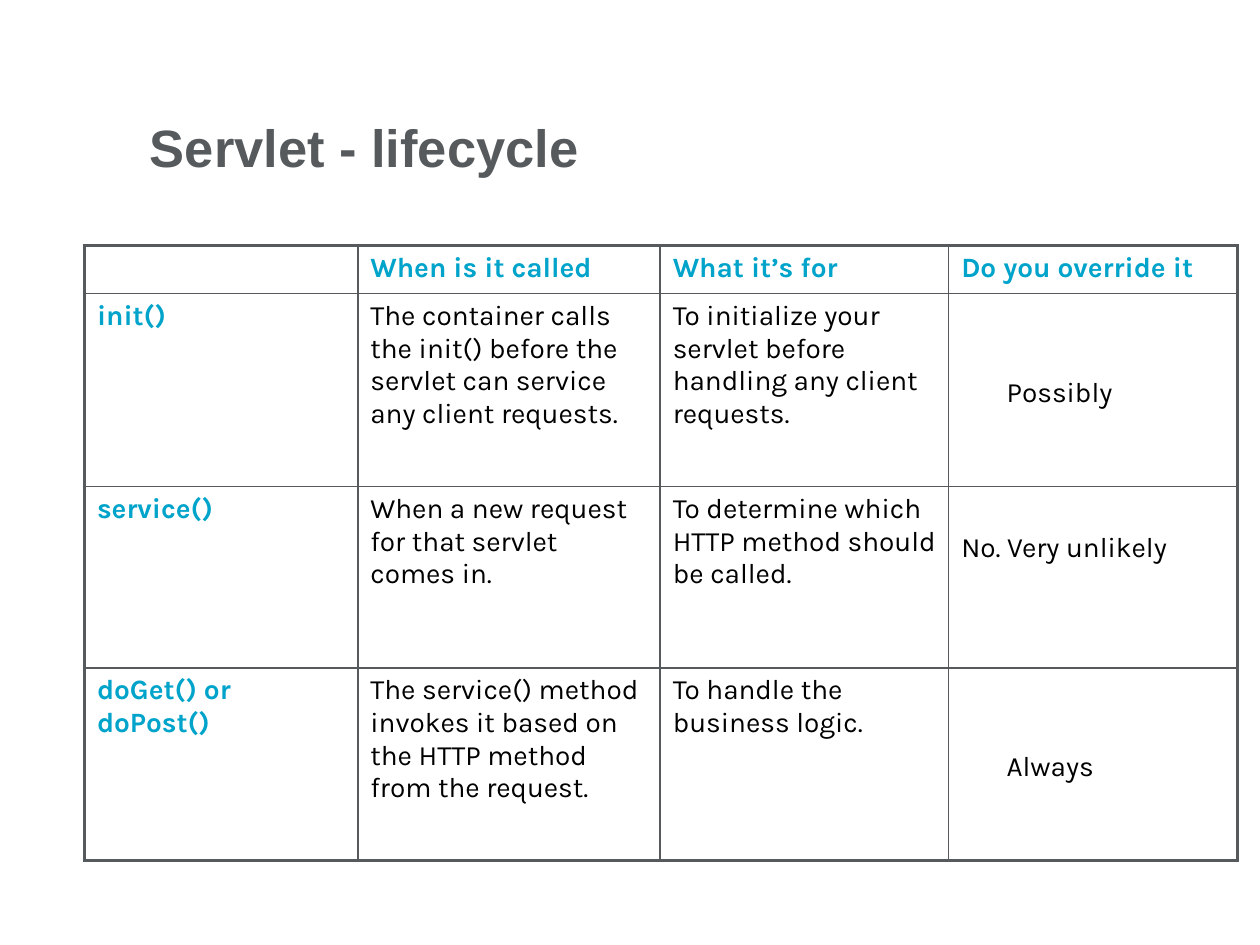
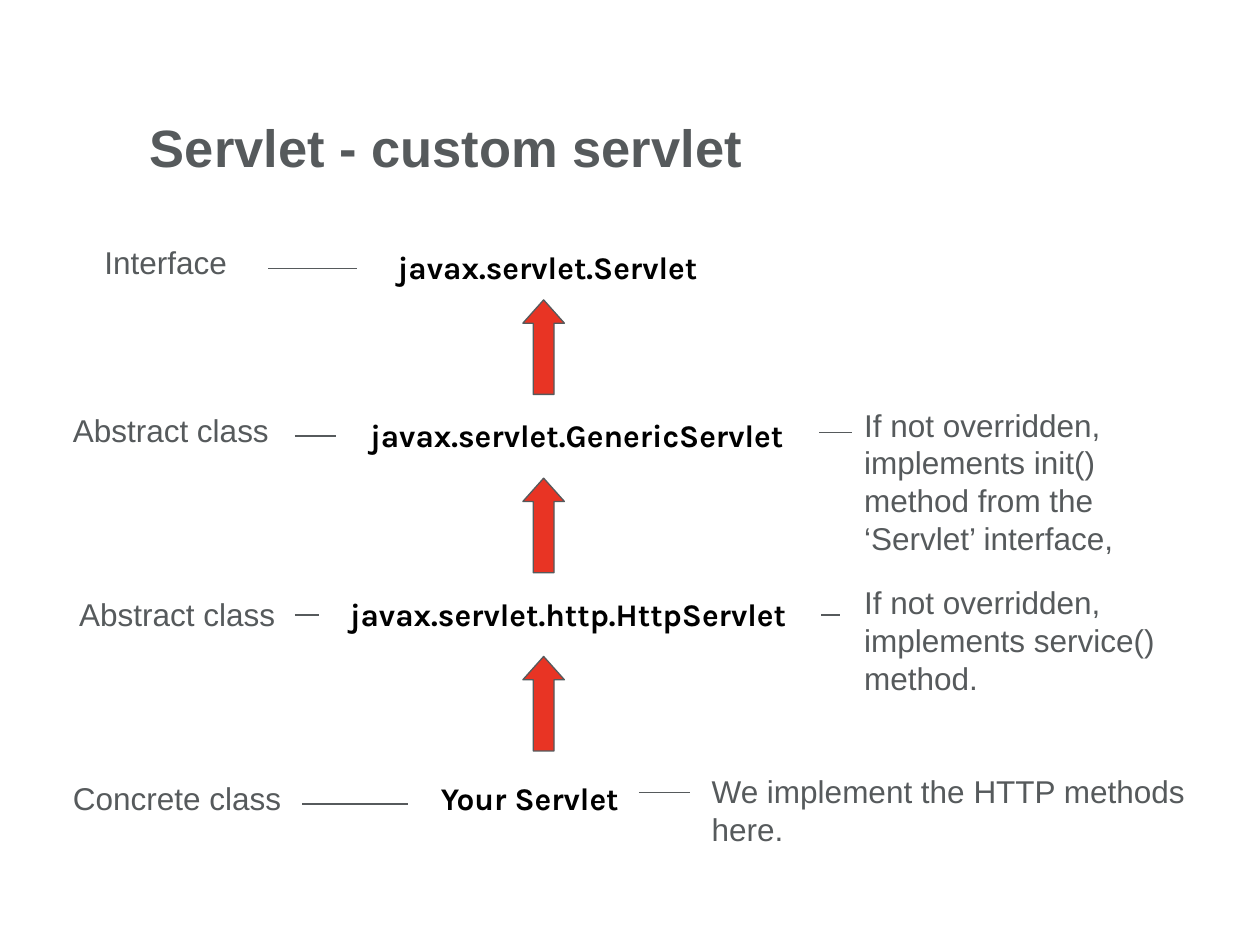
from dataclasses import dataclass

from lxml.etree import SubElement
from pptx import Presentation
from pptx.dml.color import RGBColor
from pptx.enum.shapes import MSO_CONNECTOR, MSO_SHAPE
from pptx.enum.text import MSO_ANCHOR, MSO_AUTO_SIZE, PP_ALIGN
from pptx.oxml import parse_xml
from pptx.oxml.ns import nsdecls, qn
from pptx.util import Inches, Pt


@dataclass(frozen=True)
class Theme:
    gray: str = "565A5C"
    teal: str = "00A3CA"
    black: str = "000000"
    red: str = "E83424"
    white: str = "FFFFFF"
    label_font: str = "Arial"
    content_font: str = "Karla"
    title_size: int = 30
    label_size: int = 18
    table_size: int = 16
    thin: float = 0.75
    inner_border: float = 1
    outer_border: float = 2.25


THEME = Theme()

LIFECYCLE = [
    ["", "When is it called", "What it’s for", "Do you override it"],
    ["init()",
     "The container calls the init() before the servlet can service any client requests.",
     "To initialize your servlet before handling any client requests.",
     "Possibly"],
    ["service()",
     "When a new request for that servlet comes in.",
     "To determine which HTTP method should be called.",
     "No. Very unlikely"],
    ["doGet() or doPost()",
     "The service() method invokes it based on the HTTP method from the request.",
     "To handle the business logic.",
     "Always"],
]
COLUMN_WIDTHS = [2.17, 2.4, 2.29, 2.29]
ROW_HEIGHTS = [0.36, 1.53, 1.44, 1.53]
ANSWER_MARGINS = {1: (0.46, 0.66), 2: (0.1, 0.36), 3: (0.46, 0.66)}

CLASS_NAMES = [
    ("javax.servlet.Servlet", 3.06, 1.92, 3.24),
    ("javax.servlet.GenericServlet", 2.84, 3.25, 3.62),
    ("javax.servlet.http.HttpServlet", 2.68, 4.67, 3.77),
    ("Your Servlet", 3.4, 6.13, 1.67),
]
CLASS_KINDS = [
    ("Interface", 0.73, 1.88, 1.17),
    ("Abstract class", 0.48, 3.21, 1.76),
    ("Abstract class", 0.53, 4.67, 1.76),
    ("Concrete class", 0.48, 6.13, 1.85),
]
NOTES = [
    (["If not overridden, implements init()", "method from the ‘Servlet’ interface,"],
     6.76, 3.17, 2.86, 1.31),
    (["If not overridden, implements service()", "method."], 6.76, 4.58, 3.13, 1.01),
    (["We implement the HTTP methods", "here."], 5.55, 6.08, 4.03, 0.7),
]
LINKS = [
    (2.13, 2.83, 2.13), (2.34, 2.67, 3.46), (2.34, 2.53, 4.88), (2.4, 3.24, 6.38),
    (6.5, 6.76, 3.43), (6.52, 6.67, 4.88), (5.07, 5.48, 6.29),
]
FIRST_ARROW_TOP = 2.38
ARROW_STEP = 1.415


def color(value):
    return RGBColor.from_string(value)


def write_text(frame, text, *, size=THEME.label_size, font=THEME.label_font,
               fill=THEME.gray, bold=False):
    lines = [text] if isinstance(text, str) else text
    for index, line in enumerate(lines):
        paragraph = frame.add_paragraph() if index else frame.paragraphs[0]
        paragraph.alignment = PP_ALIGN.LEFT
        run = paragraph.add_run()
        run.text = line
        run.font.size = Pt(size)
        run.font.name = font
        run.font.bold = bold
        run.font.color.rgb = color(fill)


def add_titled_slide(presentation, title, width):
    slide = presentation.slides.add_slide(presentation.slide_layouts[5])
    shape = slide.shapes.title
    shape.left, shape.top = Inches(1.15), Inches(0.84)
    shape.width, shape.height = Inches(width), Inches(0.65)
    shape.fill.solid()
    shape.fill.fore_color.rgb = color(THEME.white)
    frame = shape.text_frame
    frame.auto_size = MSO_AUTO_SIZE.NONE
    frame.word_wrap = True
    frame.vertical_anchor = MSO_ANCHOR.MIDDLE
    frame.margin_left = Inches(0.04)
    frame.margin_top = frame.margin_right = frame.margin_bottom = 0
    write_text(frame, title, size=THEME.title_size, bold=True)
    return slide


def add_text(slide, text, left, top, width, height=0.4, *, wrap=False, **text_format):
    box = slide.shapes.add_textbox(Inches(left), Inches(top), Inches(width), Inches(height))
    box.text_frame.word_wrap = wrap
    write_text(box.text_frame, text, **text_format)


def add_link(slide, start, end, height):
    connector = slide.shapes.add_connector(
        MSO_CONNECTOR.STRAIGHT, Inches(start), Inches(height), Inches(end), Inches(height))
    connector.line.color.rgb = color(THEME.gray)
    connector.line.width = Pt(THEME.thin)
    SubElement(connector._element.spPr, qn("a:effectLst"))


def add_up_arrow(slide, top):
    arrow = slide.shapes.add_shape(
        MSO_SHAPE.UP_ARROW, Inches(4.15), Inches(top), Inches(0.33), Inches(0.75))
    arrow.adjustments[0] = 0.5
    arrow.adjustments[1] = 0.562
    arrow.shadow.inherit = False
    arrow.fill.solid()
    arrow.fill.fore_color.rgb = color(THEME.red)
    arrow.line.color.rgb = color(THEME.gray)
    arrow.line.width = Pt(THEME.thin)


def set_borders(cell, outer_sides):
    properties = cell._tc.get_or_add_tcPr()
    for index, (side, is_outer) in enumerate(zip("LRTB", outer_sides)):
        width = Pt(THEME.outer_border if is_outer else THEME.inner_border)
        properties.insert(index, parse_xml(
            f'<a:ln{side} {nsdecls("a")} w="{width}"><a:solidFill>'
            f'<a:srgbClr val="{THEME.gray}"/></a:solidFill></a:ln{side}>'))


def add_lifecycle_table(slide):
    rows, columns = len(ROW_HEIGHTS), len(COLUMN_WIDTHS)
    table = slide.shapes.add_table(
        rows, columns, Inches(0.67), Inches(1.95),
        Inches(sum(COLUMN_WIDTHS)), Inches(sum(ROW_HEIGHTS))).table
    table.first_row = table.horz_banding = False
    for column, width in zip(table.columns, COLUMN_WIDTHS):
        column.width = Inches(width)
    for row, height in zip(table.rows, ROW_HEIGHTS):
        row.height = Inches(height)
    for row_index, texts in enumerate(LIFECYCLE):
        for column_index, text in enumerate(texts):
            cell = table.cell(row_index, column_index)
            is_heading = row_index == 0 or column_index == 0
            cell.fill.background()
            set_borders(cell, (column_index == 0, column_index == columns - 1,
                               row_index == 0, row_index == rows - 1))
            if column_index == columns - 1 and row_index in ANSWER_MARGINS:
                left, top = ANSWER_MARGINS[row_index]
                cell.margin_left, cell.margin_top = Inches(left), Inches(top)
            write_text(cell.text_frame, text, size=THEME.table_size,
                       font=THEME.content_font, bold=is_heading,
                       fill=THEME.teal if is_heading else THEME.black)


def add_class_hierarchy(slide):
    for name in CLASS_NAMES:
        add_text(slide, *name, font=THEME.content_font, fill=THEME.black, bold=True)
    for kind in CLASS_KINDS:
        add_text(slide, *kind)
    for note in NOTES:
        add_text(slide, *note, wrap=True)
    for link in LINKS:
        add_link(slide, *link)
    for index in range(len(CLASS_NAMES) - 1):
        add_up_arrow(slide, FIRST_ARROW_TOP + index * ARROW_STEP)


def main():
    presentation = Presentation()
    presentation.slide_width, presentation.slide_height = Inches(10), Inches(7.5)
    add_lifecycle_table(add_titled_slide(presentation, "Servlet - lifecycle", 3.74))
    add_class_hierarchy(add_titled_slide(presentation, "Servlet - custom servlet", 4.98))
    presentation.save("out.pptx")


main()
